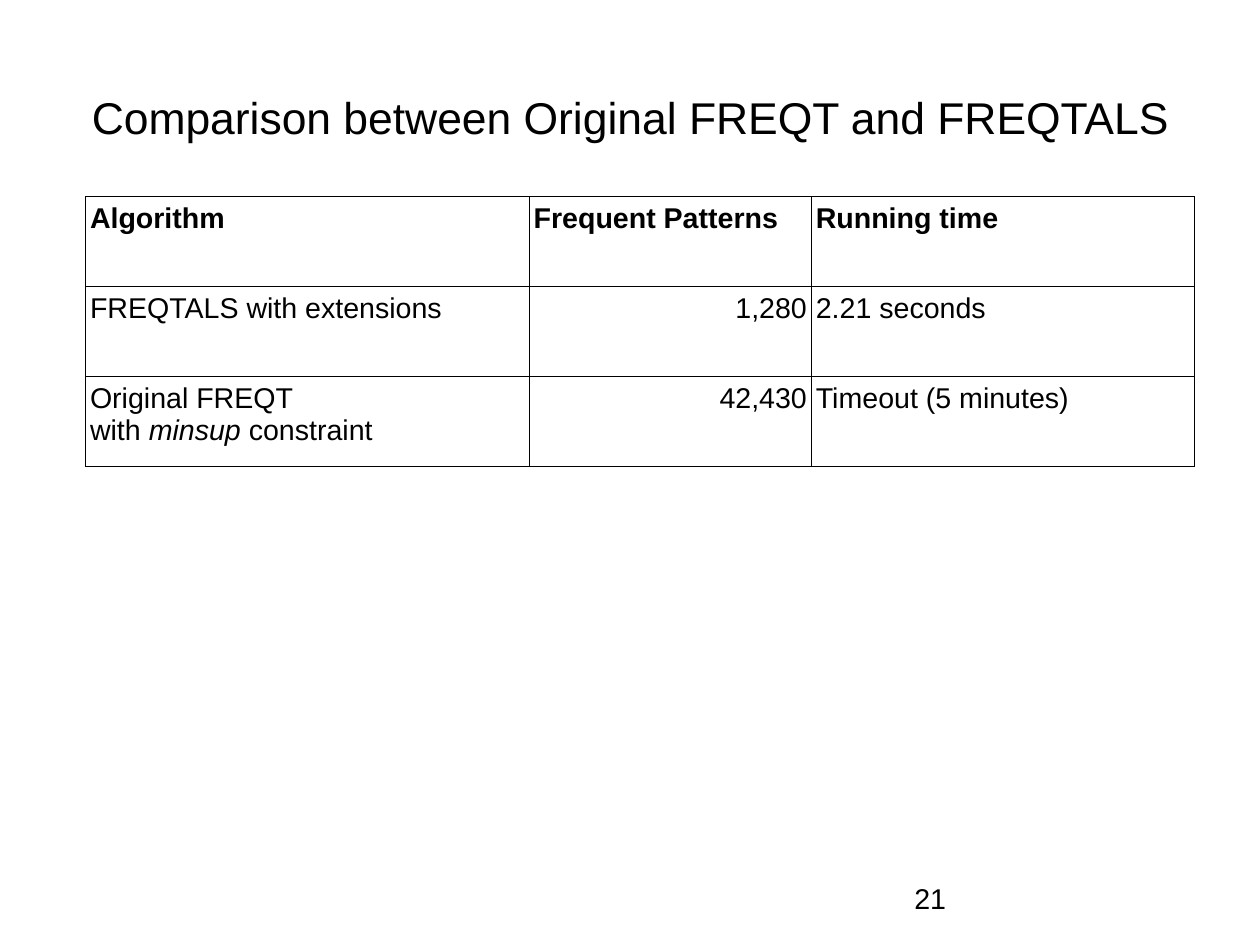
from lxml.etree import SubElement as Sub
from pptx import Presentation as Deck
from pptx.dml.color import RGBColor as Rgb
from pptx.enum.text import MSO_ANCHOR as Anchor, PP_ALIGN as Align
from pptx.oxml.ns import qn
from pptx.util import Cm, Pt

BLACK = "000000"
WHITE = "FFFFFF"
WIDTHS = [9.86, 6.27, 8.51]
HEIGHT = 2
ROWS = [
    ["Algorithm", "Frequent Patterns", "Running time"],
    ["FREQTALS with extensions", "1,280", "2.21 seconds"],
    ["Original FREQT\nwith *minsup* constraint", "42,430", "Timeout (5 minutes)"],
]


def color(code):
    return Rgb.from_string(code)


def write(frame, text, size=18, bold=False, align=Align.LEFT, code=BLACK):
    frame.word_wrap = True
    for row, line in enumerate(text.split("\n")):
        para = frame.add_paragraph() if row else frame.paragraphs[0]
        para.alignment = align
        for part, words in enumerate(line.split("*")):
            run = para.add_run()
            run.text = words
            font = run.font
            font.name = "Arial"
            font.size = Pt(size)
            font.bold = bold
            font.italic = part % 2 == 1
            font.color.rgb = color(code)


def place(shape, left, top, width, height):
    shape.left, shape.top = Cm(left), Cm(top)
    shape.width, shape.height = Cm(width), Cm(height)


def add_title(slide, text):
    title = slide.shapes.title
    place(title, 1.4, 0.84, 25.2, 3.51)
    frame = title.text_frame
    frame.margin_left = frame.margin_right = 0
    frame.margin_top = frame.margin_bottom = 0
    frame.vertical_anchor = Anchor.MIDDLE
    write(frame, text, size=28, align=Align.CENTER)


def add_edges(cell, code=BLACK, width=0.57):
    props = cell._tc.get_or_add_tcPr()
    for side in ("a:lnL", "a:lnR", "a:lnT", "a:lnB"):
        line = Sub(props, qn(side), w=str(Pt(width)))
        fill = Sub(line, qn("a:solidFill"))
        Sub(fill, qn("a:srgbClr"), val=code)


def add_cell(cell, text, **style):
    cell.margin_left = cell.margin_right = Cm(0.1)
    cell.margin_top = cell.margin_bottom = Cm(0.13)
    add_edges(cell)
    cell.fill.solid()
    cell.fill.fore_color.rgb = color(WHITE)
    write(cell.text_frame, text, **style)


def add_grid(slide, left, top):
    count = len(ROWS)
    frame = slide.shapes.add_table(
        count, len(WIDTHS), Cm(left), Cm(top), Cm(sum(WIDTHS)), Cm(HEIGHT * count)
    )
    grid = frame.table
    grid.first_row = grid.horz_banding = False
    for col, width in zip(grid.columns, WIDTHS):
        col.width = Cm(width)
    for row, texts in enumerate(ROWS):
        grid.rows[row].height = Cm(HEIGHT)
        for col, text in enumerate(texts):
            align = Align.RIGHT if row and col == 1 else Align.LEFT
            add_cell(grid.cell(row, col), text, bold=row == 0, align=align)


def add_label(slide, text, left, top, width, height):
    box = slide.shapes.add_textbox(Cm(left), Cm(top), Cm(width), Cm(height))
    write(box.text_frame, text)


def main():
    deck = Deck()
    deck.slide_width, deck.slide_height = Cm(28), Cm(21)
    slide = deck.slides.add_slide(deck.slide_layouts[5])
    add_title(slide, "Comparison between Original FREQT and FREQTALS")
    add_grid(slide, 1.9, 4.37)
    add_label(slide, "21", 20.07, 19.46, 6.53, 1.12)
    deck.save("out.pptx")


if __name__ == "__main__":
    main()
